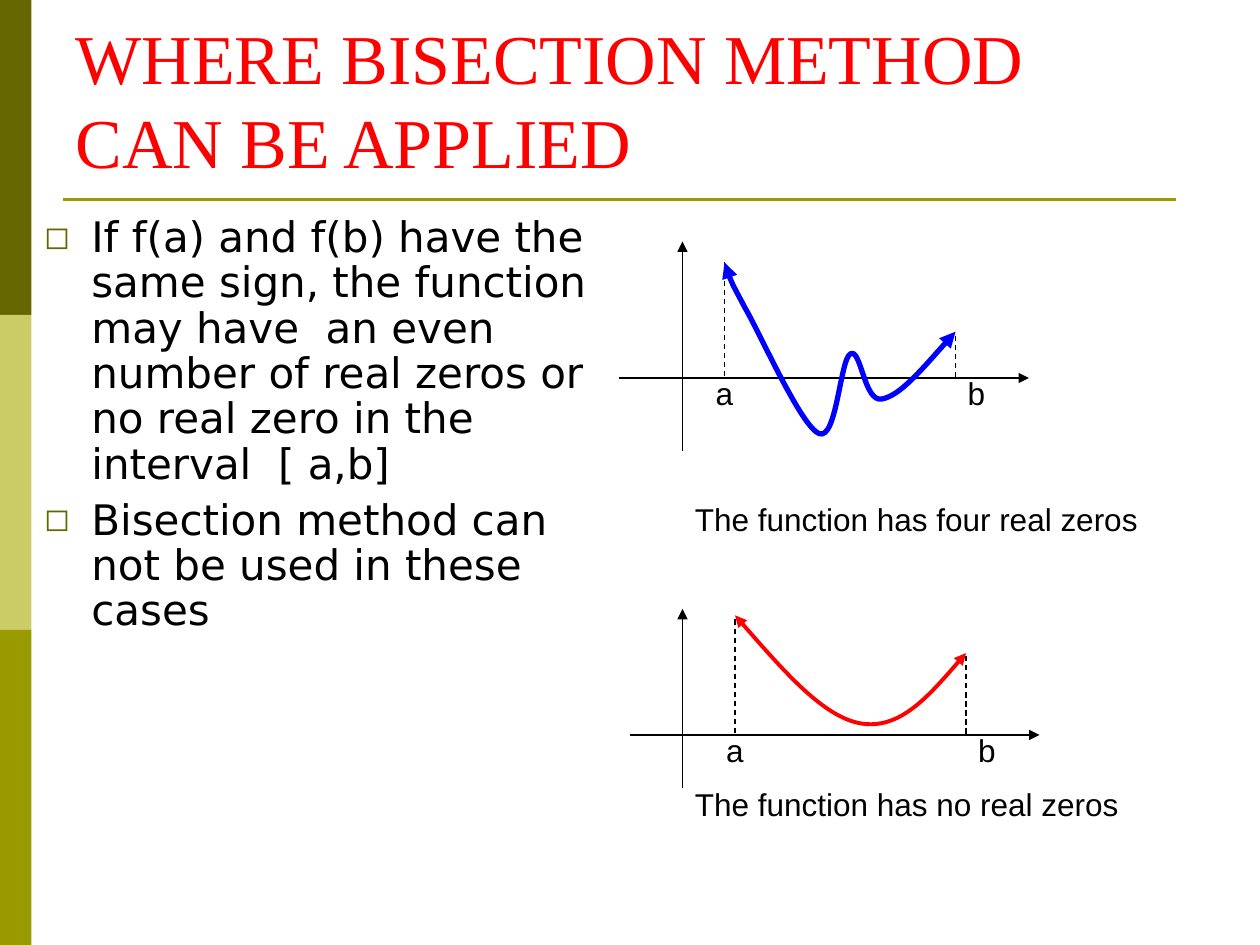
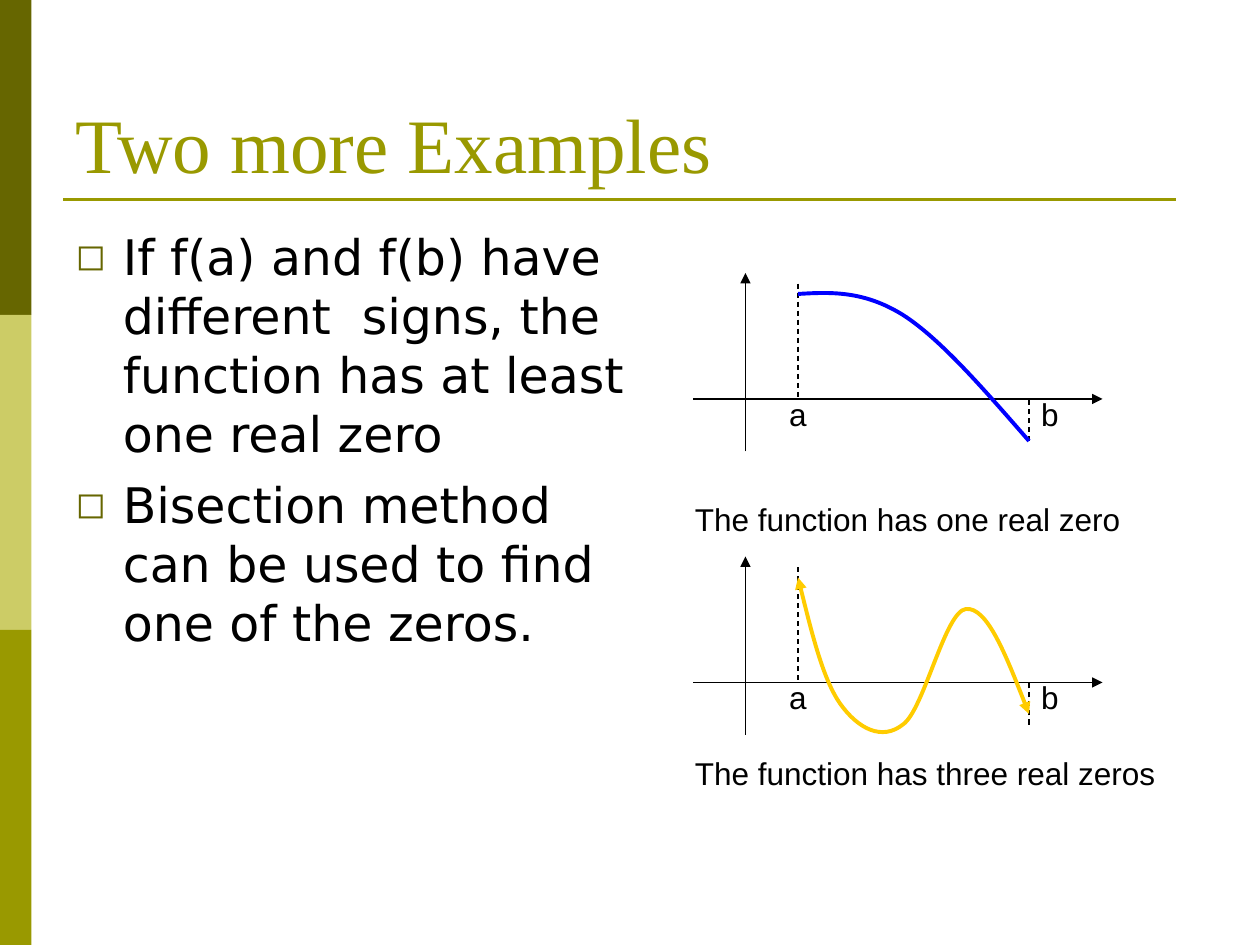
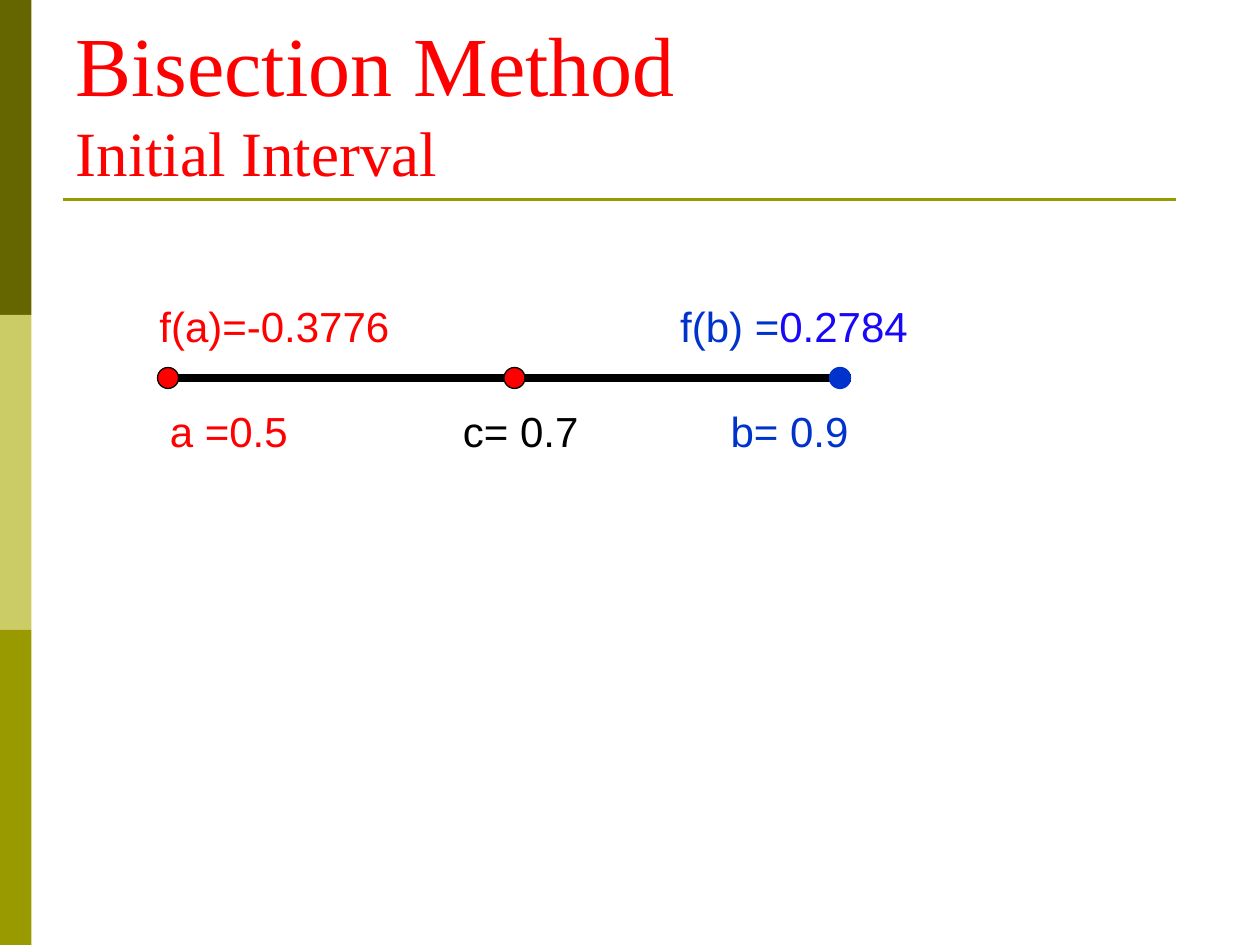
from lxml.etree import SubElement
from pptx import Presentation
from pptx.dml.color import RGBColor
from pptx.enum.dml import MSO_LINE
from pptx.enum.shapes import MSO_CONNECTOR, MSO_SHAPE
from pptx.enum.text import MSO_ANCHOR, MSO_AUTO_SIZE, PP_ALIGN
from pptx.oxml.ns import qn
from pptx.util import Emu, Pt

PX = 7620  # EMU per px, 120 px to the inch
W, H = 1200, 900

BLACK, RED, BLUE, GOLD = "000000", "FF0000", "0000FF", "FFCC00"
NAVY, VIOLET = "0033CC", "1908F8"
DARK_OLIVE, PALE_OLIVE, OLIVE = "666600", "CCCC66", "999900"
SERIF, SANS, BODY = "Times New Roman", "Arial", "DejaVu Sans"


# --- formatting helpers ---
def px(*values):
    return [Emu(v * PX) for v in values]


def color(hex_str):
    return RGBColor.from_string(hex_str)


def apply(obj, **values):
    for name, value in values.items():
        setattr(obj, name, value)


def place(sp, box):
    apply(sp, **dict(zip(("left", "top", "width", "height"), px(*box))))


def add_run(p, text, font, size, hex_str):
    r = p.add_run()
    r.text = text
    apply(r.font, name=font, size=Pt(size))
    r.font.color.rgb = color(hex_str)


def set_line(sp, hex_str, width, dash=None, head=False, tail=False):
    sp.line.color.rgb = color(hex_str)
    apply(sp.line, width=Pt(width), dash_style=dash)
    ln = next(sp.element.iter(qn("a:ln")))
    for tag, wanted in (("a:headEnd", head), ("a:tailEnd", tail)):
        if wanted:
            SubElement(ln, qn(tag), type="triangle")


def add_tabs(p, stops):
    tabs = SubElement(p._p.get_or_add_pPr(), qn("a:tabLst"))
    for stop in stops:
        SubElement(tabs, qn("a:tab"), pos=str(stop * PX), algn="l")


def add_bullet(p, indent=45):
    pPr = p._p.get_or_add_pPr()
    pPr.set("marL", str(indent * PX))
    pPr.set("indent", str(-indent * PX))
    SubElement(SubElement(pPr, qn("a:buClr")), qn("a:srgbClr"), val=DARK_OLIVE)
    SubElement(pPr, qn("a:buSzPct"), val="75000")
    SubElement(pPr, qn("a:buFont"), typeface=BODY)
    SubElement(pPr, qn("a:buChar"), char="◻")


# --- elements ---
def add_line(s, x1, y1, x2, y2, hex_str=BLACK, width=0.75, **ends):
    sp = s.shapes.add_connector(MSO_CONNECTOR.STRAIGHT, *px(x1, y1, x2, y2))
    set_line(sp, hex_str, width, **ends)
    SubElement(sp.element.spPr, qn("a:effectLst"))
    return sp


def add_solid(s, kind, box, fill, outline=None):
    sp = s.shapes.add_shape(kind, *px(*box))
    sp.shadow.inherit = False
    sp.fill.solid()
    sp.fill.fore_color.rgb = color(fill)
    if outline:
        set_line(sp, outline, 0.75)
    else:
        sp.line.fill.background()
    return sp


def add_text(s, box, runs, size=18, align=PP_ALIGN.LEFT, tabs=()):
    tf = s.shapes.add_textbox(*px(*box)).text_frame
    tf.word_wrap = True
    p = tf.paragraphs[0]
    p.alignment = align
    if tabs:
        add_tabs(p, tabs)
    for text, hex_str in runs:
        add_run(p, text, SANS, size, hex_str)


def add_curve(s, points, hex_str, width, arrows=True):
    """Bezier curve: a start point, then three points for each segment."""
    builder = s.shapes.build_freeform(*points[0], scale=PX)
    builder.add_line_segments(points[1:], close=False)
    sp = builder.convert_to_shape()
    outline = next(sp.element.iter(qn("a:path")))
    steps = outline.findall(qn("a:lnTo"))
    for i in range(0, len(steps), 3):
        bezier = SubElement(outline, qn("a:cubicBezTo"))
        for step in steps[i:i + 3]:
            bezier.append(step[0])
            outline.remove(step)
    sp.shadow.inherit = False
    sp.fill.background()
    set_line(sp, hex_str, width, head=arrows, tail=arrows)


def add_plot(s, axis_x, axis_y, top, bottom, a, b_end, caption):
    """Axes, dashed limits at a and b, their labels and a caption."""
    a_x, a_top = a
    b_x = a_x + 220
    add_line(s, a_x - 100, axis_y, a_x + 290, axis_y, tail=True)
    add_line(s, axis_x, bottom, axis_x, top, tail=True)
    add_line(s, a_x, a_top, a_x, axis_y, dash=MSO_LINE.DASH)
    add_line(s, b_x, b_end, b_x, axis_y, dash=MSO_LINE.DASH)
    for label, x in (("a", a_x - 50), ("b", b_x - 30)):
        add_text(s, (x, axis_y - 10, 70, 48), [(label, BLACK)], align=PP_ALIGN.RIGHT)
    text, y = caption
    add_text(s, (650, y, 470, 48), [(text, BLACK)])


def set_title(s, lines, hex_str, box=(60, 36, 1080, 150)):
    sp = s.shapes.title
    place(sp, box)
    tf = sp.text_frame
    apply(tf, vertical_anchor=MSO_ANCHOR.BOTTOM, word_wrap=True,
          auto_size=MSO_AUTO_SIZE.NONE)
    p = tf.paragraphs[0]
    p.alignment = PP_ALIGN.LEFT
    for i, (text, size) in enumerate(lines):
        if i:
            p.add_line_break()
        add_run(p, text, SERIF, size, hex_str)


def set_body(s, box, items, size, space, line_spacing=1.0):
    sp = s.placeholders[1]
    place(sp, box)
    tf = sp.text_frame
    apply(tf, word_wrap=True, auto_size=MSO_AUTO_SIZE.NONE)
    for i, text in enumerate(items):
        p = tf.add_paragraph() if i else tf.paragraphs[0]
        apply(p, space_before=Pt(space if i else 0), line_spacing=line_spacing)
        add_bullet(p)
        add_run(p, text, BODY, size, BLACK)


def add_master_frame(prs, s):
    """Draw the side bands and title rule, then move them to the master."""
    band_h = H // 3
    parts = [add_solid(s, MSO_SHAPE.RECTANGLE, (0, i * band_h, 30, band_h), fill)
             for i, fill in enumerate((DARK_OLIVE, PALE_OLIVE, OLIVE))]
    parts.append(add_line(s, 60, 190, 1120, 190, OLIVE, 1.5))
    tree = prs.slide_master.shapes.element
    for i, sp in enumerate(parts):
        next(sp.element.iter(qn("p:cNvPr"))).set("id", str(100 + i))
        tree.insert(2 + i, sp.element)


# --- slides ---
def same_sign_slide(s):
    set_title(s, [("WHERE BISECTION METHOD CAN BE APPLIED", 40)], RED,
              (60, 40, 1080, 140))
    set_body(s, (30, 200, 570, 520), [
        "If f(a) and f(b) have the same sign, the function may have  an even "
        "number of real zeros or no real zero in the interval  [ a,b]",
        "Bisection method can not be used in these cases",
    ], size=24, space=6, line_spacing=0.9)
    add_plot(s, 650, 360, 230, 430, (690, 250), 320,
             ("The function has four real zeros", 470))
    add_curve(s, [(690, 250), (692, 258), (695, 266), (710, 294),
                  (725, 320), (763, 406), (780, 413),
                  (797, 420), (800, 342), (810, 337),
                  (820, 331), (823, 384), (840, 380),
                  (857, 377), (883, 346), (910, 316)], BLUE, 3)
    add_plot(s, 650, 700, 580, 750, (700, 590), 625,
             ("The function has no real zeros", 742))
    add_curve(s, [(700, 586), (742, 634), (784, 683), (820, 689),
                  (857, 695), (888, 659), (920, 622)], RED, 2.25)


def different_signs_slide(s):
    set_title(s, [("Two more Examples", 44)], OLIVE)
    set_body(s, (60, 210, 570, 520), [
        "If f(a) and f(b) have  different  signs, the function has at least "
        "one real zero",
        "Bisection method can be used to find one of the zeros.",
    ], size=28, space=7)
    add_plot(s, 710, 380, 260, 430, (760, 270), 420,
             ("The function has one real zero", 470))
    add_curve(s, [(760, 280), (792, 278), (823, 277), (860, 300),
                  (896, 323), (938, 372), (980, 420)], BLUE, 2.25, arrows=False)
    add_plot(s, 710, 650, 530, 700, (760, 540), 690,
             ("The function has three real zeros", 712))
    add_curve(s, [(760, 550), (772, 599), (784, 647), (800, 670),
                  (817, 694), (840, 706), (860, 690),
                  (880, 676), (900, 582), (920, 580),
                  (940, 578), (960, 629), (980, 680)], GOLD, 2.25)


def interval_slide(s):
    set_title(s, [("Bisection Method", 48), ("Initial Interval", 36)], RED)
    add_text(s, (150, 380, 730, 60),
             [("a =0.5\t", RED), ("c= 0.7\t", BLACK), ("b= 0.9", NAVY)],
             size=24, tabs=(279, 534))
    add_text(s, (140, 280, 860, 60),
             [("f(a)=-0.3776\t", RED), ("f(b) =", NAVY), ("0.2784", VIOLET)],
             size=24, tabs=(496,))
    for x in (490, 160):
        add_line(s, x, 360, x + 320, 360, width=4.5)
    for x, fill, outline in ((790, NAVY, NAVY), (480, RED, BLACK), (150, RED, BLACK)):
        add_solid(s, MSO_SHAPE.OVAL, (x, 350, 20, 20), fill, outline)


def main():
    prs = Presentation()
    prs.slide_width, prs.slide_height = px(W, H)
    content, title_only = prs.slide_layouts[1], prs.slide_layouts[5]
    pages = ((content, same_sign_slide), (content, different_signs_slide),
             (title_only, interval_slide))
    for i, (layout, build) in enumerate(pages):
        s = prs.slides.add_slide(layout)
        if i == 0:
            add_master_frame(prs, s)
        build(s)
    prs.save("out.pptx")


if __name__ == "__main__":
    main()
